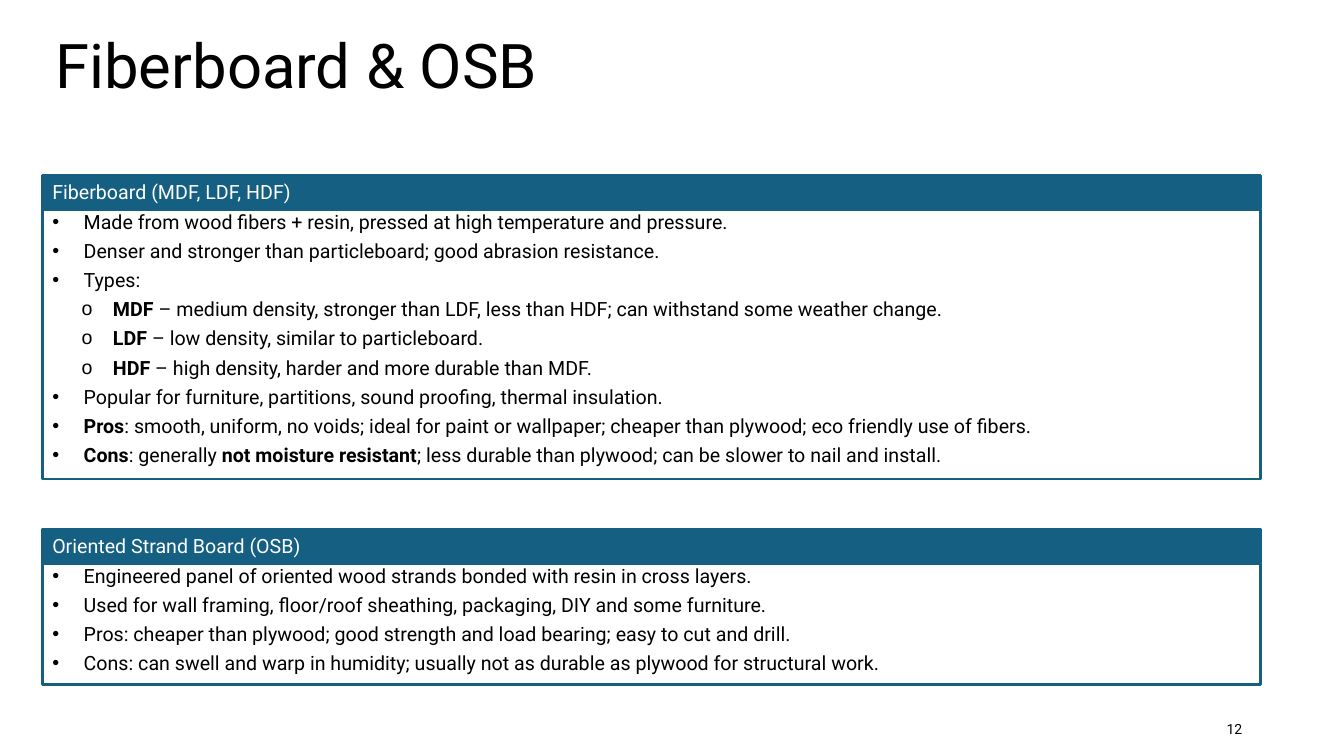
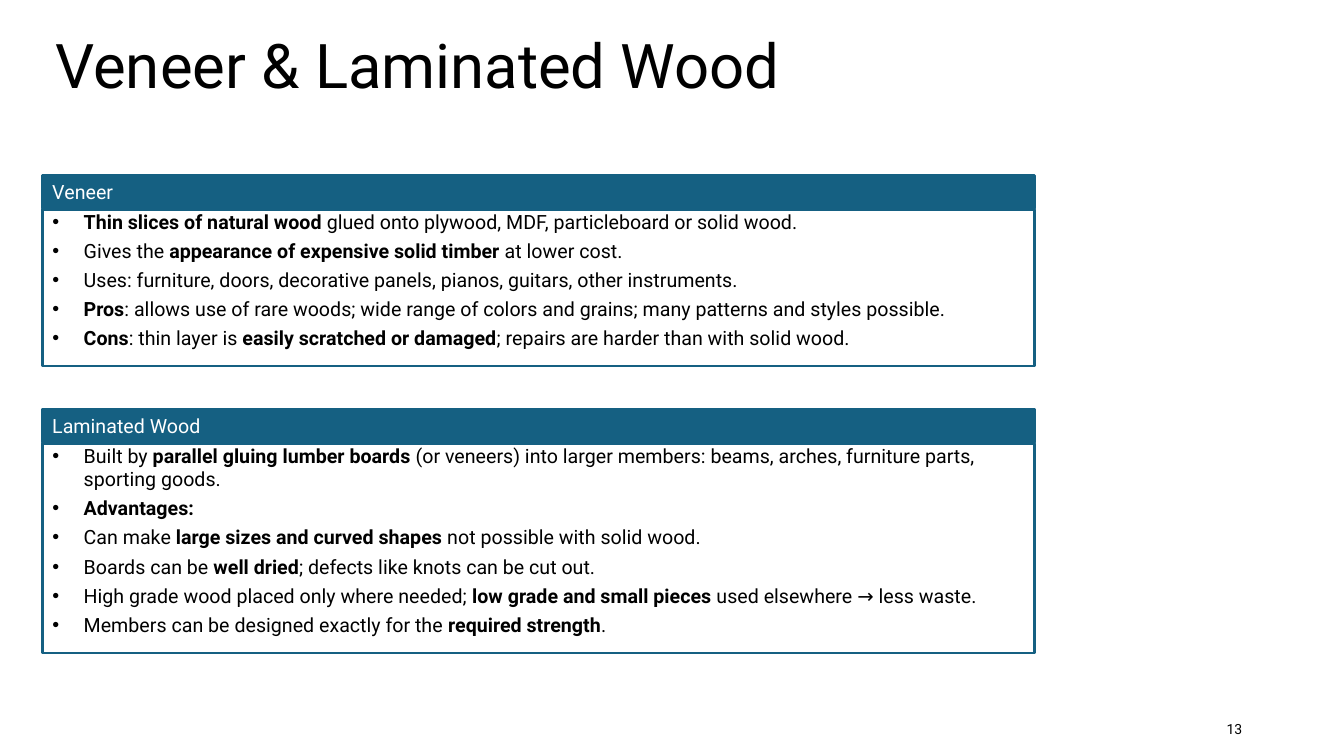
from lxml import etree
from pptx import Presentation
from pptx import util as u
from pptx.dml.color import RGBColor
from pptx.enum import shapes, text
from pptx.oxml.ns import qn

Inches, Pt = u.Inches, u.Pt

FONT = "Roboto"
BLUE, BLACK, WHITE = "156082", "000000", "FFFFFF"
LEFT = 0.42
HEAD_H, BODY_OFFSET = 0.33, 0.34
TWO_CONTENT = 3
BULLETS = [("•", 0.41), ("o", 0.70)]  # character and indent by level
HANGING = 0.31

# Text between ** marks is bold; a leading > makes a second-level item.
SLIDES = [
    dict(title="Fiberboard & OSB", number="12", width=12.08, panels=[
        dict(head="Fiberboard (MDF, LDF, HDF)", top=1.74, height=2.67, items=[
            "Made from wood fibers + resin, pressed at high temperature and pressure.",
            "Denser and stronger than particleboard; good abrasion resistance.",
            "Types:",
            ">**MDF** – medium density, stronger than LDF, less than HDF; "
            "can withstand some weather change.",
            ">**LDF **– low density, similar to particleboard.",
            ">**HDF** – high density, harder and more durable than MDF.",
            "Popular for furniture, partitions, sound proofing, thermal insulation.",
            "**Pros**: smooth, uniform, no voids; ideal for paint or wallpaper; "
            "cheaper than plywood; eco friendly use of fibers.",
            "**Cons**: generally **not moisture resistant**; less durable than plywood; "
            "can be slower to nail and install.",
        ]),
        dict(head="Oriented Strand Board (OSB)", top=5.25, height=1.2, items=[
            "Engineered panel of oriented wood strands bonded with resin in cross layers.",
            "Used for wall framing, floor/roof sheathing, packaging, DIY and some furniture.",
            "Pros: cheaper than plywood; good strength and load bearing; easy to cut and drill.",
            "Cons: can swell and warp in humidity; usually not as durable as plywood "
            "for structural work.",
        ]),
    ]),
    dict(title="Veneer & Laminated Wood", number="13", width=9.84, panels=[
        dict(head="Veneer", top=1.74, height=1.55, items=[
            "**Thin slices of natural wood** glued onto plywood, MDF, particleboard or solid wood.",
            "Gives the **appearance of expensive solid timber **at lower cost.",
            "Uses: furniture, doors, decorative panels, pianos, guitars, other instruments.",
            "**Pros**: allows use of rare woods; wide range of colors and grains; "
            "many patterns and styles possible.",
            "**Cons**: thin layer is **easily scratched or damaged**; "
            "repairs are harder than with solid wood.",
        ]),
        dict(head="Laminated Wood", top=4.06, height=2.08, items=[
            "Built by **parallel gluing lumber boards **(or veneers) into larger members: "
            "beams, arches, furniture parts, sporting goods.",
            "**Advantages:**",
            "Can make **large sizes and curved shapes **not possible with solid wood.",
            "Boards can be **well dried**; defects like knots can be cut out.",
            "High grade wood placed only where needed; **low grade and small pieces **"
            "used elsewhere → less waste.",
            "Members can be designed exactly for the **required strength**.",
        ]),
    ]),
]


def rgb(value):
    return RGBColor.from_string(value)


def place(sp, left, top, width, height):
    sp.left, sp.top = Inches(left), Inches(top)
    sp.width, sp.height = Inches(width), Inches(height)


def frame(sp, anchor=text.MSO_ANCHOR.TOP, inset=0):
    """Set up the text frame of a shape and return it."""
    tf = sp.text_frame
    tf.word_wrap, tf.auto_size = True, text.MSO_AUTO_SIZE.NONE
    tf.vertical_anchor = anchor
    tf.margin_left = tf.margin_right = Inches(inset)
    tf.margin_top = tf.margin_bottom = Inches(inset / 2)
    return tf


def write(p, content, size=14, color=BLACK, align=text.PP_ALIGN.LEFT, spacing=1.0):
    """Fill a paragraph, making the text between ** marks bold."""
    p.alignment, p.line_spacing = align, spacing
    for i, part in enumerate(content.split("**")):
        if part:
            r = p.add_run()
            r.text = part
            r.font.name, r.font.size = FONT, Pt(size)
            r.font.bold = i % 2 == 1
            r.font.color.rgb = rgb(color)


def add_bullet(p, level):
    char, indent = BULLETS[level]
    p.level = level
    pPr = p._p.get_or_add_pPr()
    pPr.set("marL", str(Inches(indent)))
    pPr.set("indent", str(-Inches(HANGING)))
    etree.SubElement(pPr, qn("a:buChar")).set("char", char)


def outline(sp):
    sp.line.color.rgb = rgb(BLUE)
    sp.line.width = Pt(1.75)


def fill_list(body, items):
    tf = frame(body)
    for i, item in enumerate(items):
        p = tf.add_paragraph() if i else tf.paragraphs[0]
        add_bullet(p, int(item.startswith(">")))
        p.space_before, p.space_after = Pt(2 if i else 0), Pt(2)
        write(p, item.lstrip(">"))


def add_panel(slide, body, width, head, top, height, items):
    """Draw a heading bar above a bordered list placeholder."""
    place(body, LEFT, top + BODY_OFFSET, width, height)
    outline(body)
    fill_list(body, items)

    bar = slide.shapes.add_shape(shapes.MSO_SHAPE.RECTANGLE, 0, 0, 0, 0)
    place(bar, LEFT, top, width, HEAD_H)
    bar.shadow.inherit = False
    bar.fill.solid()
    bar.fill.fore_color.rgb = rgb(BLUE)
    outline(bar)
    tf = frame(bar, text.MSO_ANCHOR.MIDDLE)
    tf.margin_left = Inches(0.1)
    write(tf.paragraphs[0], head, color=WHITE)


def add_slide(prs, title, number, width, panels):
    slide = prs.slides.add_slide(prs.slide_layouts[TWO_CONTENT])
    heading, *bodies = slide.placeholders
    place(heading, 0.55, 0.35, 12.24, 0.37)
    write(frame(heading).paragraphs[0], title, size=44, spacing=0.9)

    for body, panel in zip(bodies, panels):
        add_panel(slide, body, width, **panel)

    box = slide.shapes.add_textbox(0, 0, 0, 0)
    place(box, 9.42, 7.1, 3, 0.4)
    write(frame(box, inset=0.1).paragraphs[0], number, size=10,
          align=text.PP_ALIGN.RIGHT)


def main():
    prs = Presentation()
    prs.slide_width, prs.slide_height = Inches(13.33), Inches(7.5)
    for content in SLIDES:
        add_slide(prs, **content)
    prs.save("out.pptx")


if __name__ == "__main__":
    main()
